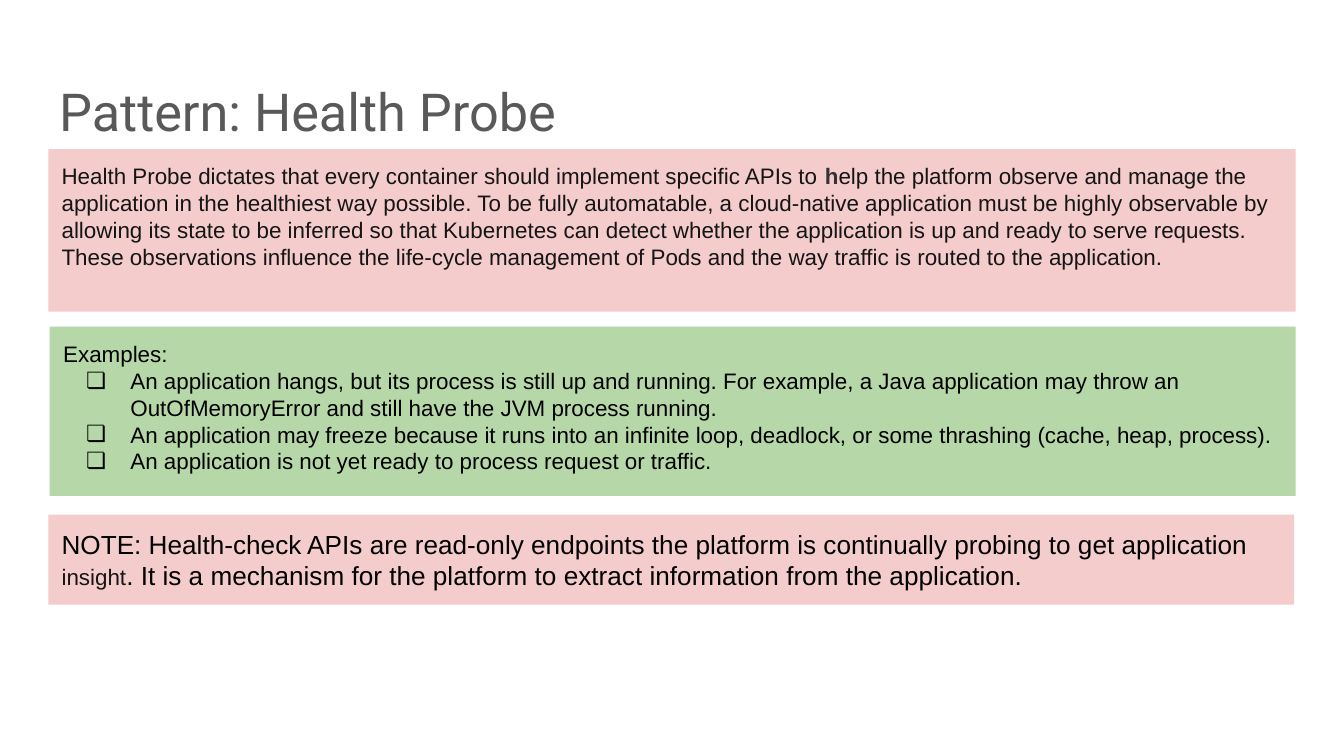
"""Build the Health Probe pattern slide."""
from lxml.etree import SubElement as Sub
from pptx import Presentation
from pptx.dml.color import RGBColor as RGB
from pptx.enum.shapes import MSO_SHAPE as Shape
from pptx.enum.text import MSO_ANCHOR as Anchor, MSO_AUTO_SIZE as Fit, PP_ALIGN as Align
from pptx.oxml.ns import qn
from pptx.util import Inches, Pt

THEME = {
    "head": ("Roboto", 28, "595959"),
    "text": ("Arial", 12, "151515"),
    "dim": ("Arial", 12, "333333"),
    "list": ("Arial", 12, "000000"),
    "note": ("Arial", 14, "000000"),
    "pink": "F4CCCC",
    "green": "B6D7A8",
}


def style(font, role):
    name, size, tint = THEME[role]
    font.name, font.size = name, Pt(size)
    font.color.rgb = RGB.from_string(tint)


def place(box, area, fill=None):
    box.left, box.top, box.width, box.height = map(Inches, area)
    if fill:
        box.fill.solid()
        box.fill.fore_color.rgb = RGB.from_string(THEME[fill])
        box.line.fill.background()
    frame = box.text_frame
    frame.word_wrap, frame.auto_size = True, Fit.NONE
    frame.vertical_anchor = Anchor.TOP
    frame.margin_left = frame.margin_right = Inches(0.1)
    frame.margin_top = frame.margin_bottom = Inches(0.1)
    return frame


deck = Presentation()
deck.slide_width = Inches(10)
deck.slide_height = deck.slide_width * 9 // 16
slide = deck.slides.add_slide(deck.slide_layouts[1])
title, body = slide.placeholders

para = place(title, (0.34, 0.49, 9.32, 0.63)).paragraphs[0]
para.text = "Pattern: Health Probe"
para.alignment = Align.LEFT
style(para.font, "head")

frame = place(body, (0.37, 2.43, 9.27, 1.26), "green")
frame.text = "\n".join((
    "Examples:",
    "An application hangs, but its process is still up and running. For example, a Java application may throw an OutOfMemoryError and still have the JVM process running.",
    "An application may freeze because it runs into an infinite loop, deadlock, or some thrashing (cache, heap, process).",
    "An application is not yet ready to process request or traffic.",
))
for row, para in enumerate(frame.paragraphs):
    para.space_before = Pt(0)
    props = para._p.get_or_add_pPr()
    props.set("marL", str(Inches(0.5 if row else 0)))
    props.set("indent", str(Inches(-0.33 if row else 0)))
    if row:
        Sub(Sub(props, qn("a:buClr")), qn("a:srgbClr"), val=THEME["list"][2])
        Sub(props, qn("a:buFont"), typeface=THEME["list"][0])
        Sub(props, qn("a:buChar"), char="❏")
    else:
        Sub(props, qn("a:buNone"))
    style(para.font, "list")

panels = (
    ((0.36, 1.11, 9.28, 1.21), (
        ("text", "Health Probe dictates that every container should implement specific APIs to "),
        ("dim", "h"),
        ("text", "elp the platform observe and manage the application in the healthiest way possible. To be fully automatable, a cloud-native application must be highly observable by allowing its state to be inferred so that Kubernetes can detect whether the application is up and ready to serve requests. These observations influence the life-cycle management of Pods and the way traffic is routed to the application."),
    )),
    ((0.36, 3.83, 9.27, 0.67), (
        ("note", "NOTE: Health-check APIs are read-only endpoints the platform is continually probing to get application "),
        ("text", "insight"),
        ("note", ". It is a mechanism for the platform to extract information from the application."),
    )),
)
for area, parts in panels:
    box = slide.shapes.add_shape(Shape.RECTANGLE, *map(Inches, area))
    box.shadow.inherit = False
    para = place(box, area, "pink").paragraphs[0]
    para.alignment = Align.LEFT
    for role, text in parts:
        run = para.add_run()
        run.text = text
        style(run.font, role)
        run.font.bold = role == "dim"

deck.save("out.pptx")
